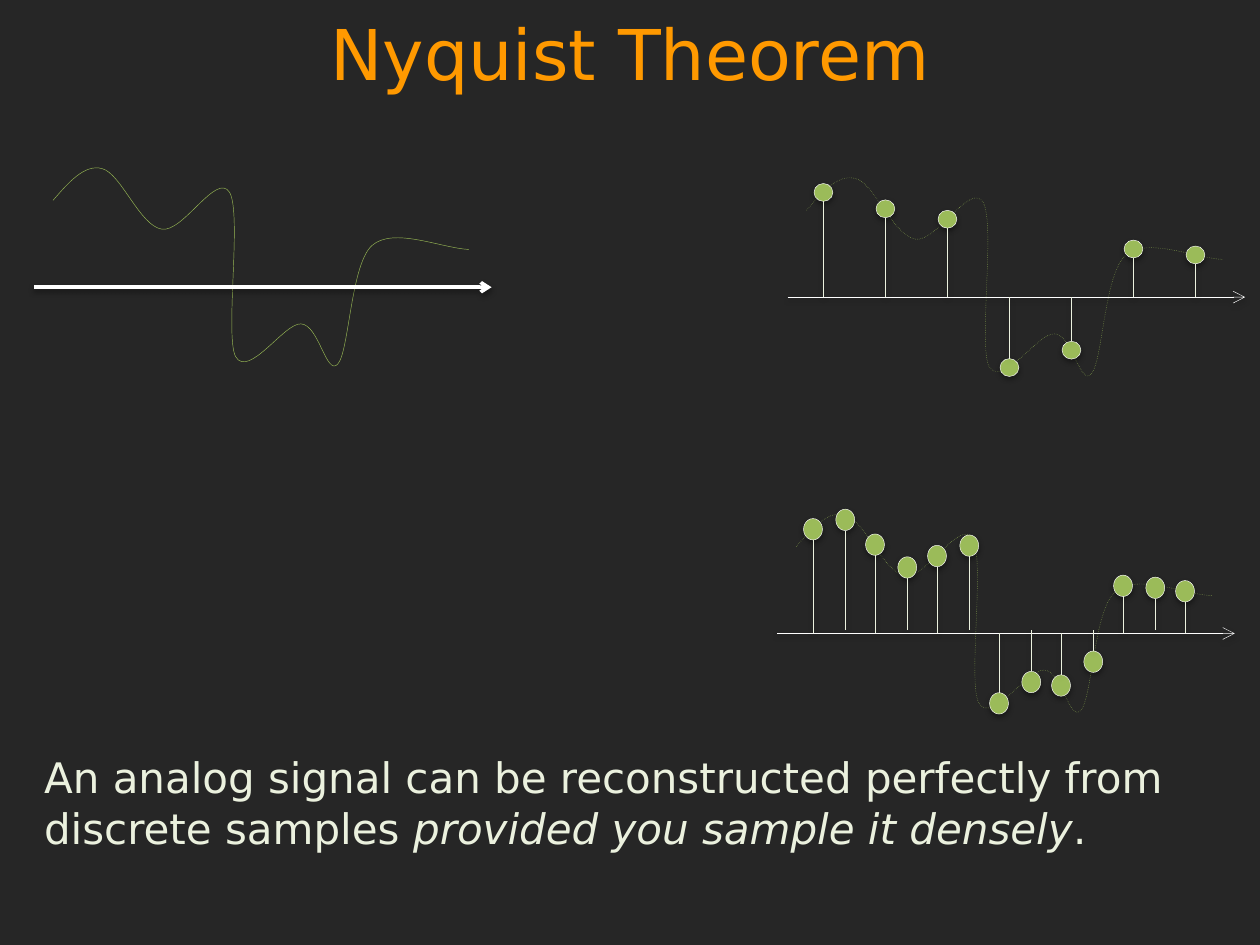
from lxml import etree
from pptx import Presentation
from pptx.dml.color import RGBColor
from pptx.enum.shapes import MSO_CONNECTOR, MSO_SHAPE
from pptx.enum.text import MSO_ANCHOR, PP_ALIGN
from pptx.oxml import parse_xml
from pptx.util import Cm, Pt

STRAIGHT = MSO_CONNECTOR.STRAIGHT
OVAL = MSO_SHAPE.OVAL
FONT = "DejaVu Sans"
DRAWING = "http://schemas.openxmlformats.org/drawingml/2006/main"
TAG = f"{{{DRAWING}}}"
SHADOW = (
    f'<a:effectLst xmlns:a="{DRAWING}">'
    '<a:outerShdw blurRad="40000" dist="20000" dir="5400000" rotWithShape="0">'
    '<a:srgbClr val="000000"><a:alpha val="38000"/></a:srgbClr>'
    "</a:outerShdw></a:effectLst>"
)

CURVE_START = (0.38, -1.75)
CURVE = [
    ((0.69, -2.11), (1.02, -2.49), (1.37, -2.39)),
    ((1.75, -2.29), (2.13, -1.24), (2.57, -1.17)),
    ((3.00, -1.09), (3.68, -2.34), (3.94, -1.91)),
    ((4.19, -1.47), (3.84, 0.97), (4.06, 1.40)),
    ((4.32, 1.85), (5.05, 0.71), (5.38, 0.74)),
    ((5.74, 0.76), (5.89, 1.80), (6.12, 1.55)),
    ((6.35, 1.30), (6.38, -0.46), (6.81, -0.84)),
    ((7.24, -1.22), (8.20, -0.79), (8.76, -0.76)),
]
AXIS_LENGTH = 9.22
SAMPLE_STEP = 1.25
DOT_WIDTH = 0.38

SPARSE = [(0.72, 0, [-2.11, -1.78, -1.57, 1.42, 1.07, -0.97, -0.85])]
DENSE = [
    (0.72, 0, [-2.10, -1.79, -1.56, 1.41, 1.05, -0.96, -0.85]),
    (1.37, -0.08, [-2.29, -1.33, -1.77, 0.98, 0.57, -0.92]),
]
PLOTS = [
    (0.69, 5.79, 2, [], 0),
    (15.88, 5.99, 0.25, SPARSE, 0.36),
    (15.67, 12.77, 0.25, DENSE, 0.43),
]


def color(value):
    return RGBColor.from_string(value)


def add_line(group, start, end, value, width):
    line = group.shapes.add_connector(
        STRAIGHT, Cm(start[0]), Cm(start[1]), Cm(end[0]), Cm(end[1]))
    line.line.color.rgb = color(value)
    line.line.width = Pt(width)
    line._element.spPr.append(parse_xml(SHADOW))
    return line


deck = Presentation()
deck.slide_width = Cm(25.4)
deck.slide_height = Cm(19.05)
page = deck.slides.add_slide(deck.slide_layouts[5])
page.background.fill.solid()
page.background.fill.fore_color.rgb = color("262626")

title = page.shapes.title
title.left, title.top, title.width, title.height = Cm(1.27), Cm(0), Cm(22.86), Cm(2.11)
title.text_frame.vertical_anchor = MSO_ANCHOR.MIDDLE
para = title.text_frame.paragraphs[0]
para.text = "Nyquist Theorem"
para.alignment = PP_ALIGN.CENTER
para.font.name = FONT
para.font.size = Pt(40)
para.font.color.rgb = color("FF9900")

box = page.shapes.add_textbox(Cm(0.64), Cm(15.03), Cm(24.56), Cm(2.54))
box.text_frame.word_wrap = True
para = box.text_frame.paragraphs[0]
for text, italic in [
    ("An analog signal can be reconstructed perfectly from discrete samples ", False),
    ("provided you sample it densely", True),
    (".", False),
]:
    span = para.add_run()
    span.text = text
    span.font.italic = italic
para.font.name = FONT
para.font.size = Pt(24)
para.font.color.rgb = color("EBF1DE")

for left, axis_y, axis_width, series, dot_height in PLOTS:
    plot = page.shapes.add_group_shape()

    outline = plot.shapes.build_freeform(
        Cm(left + CURVE_START[0]), Cm(axis_y + CURVE_START[1]))
    outline.add_line_segments(
        [(Cm(left + x), Cm(axis_y + y)) for _, _, (x, y) in CURVE], close=False)
    signal = outline.convert_to_shape()
    for segment, controls in zip(list(signal._element.iter(f"{TAG}lnTo")), CURVE):
        bend = etree.Element(f"{TAG}cubicBezTo")
        for x, y in controls:
            etree.SubElement(
                bend, f"{TAG}pt",
                x=str(Cm(left + x) - signal.left), y=str(Cm(axis_y + y) - signal.top))
        segment.getparent().replace(segment, bend)
    signal.shadow.inherit = False
    signal.fill.background()
    signal.line.color.rgb = color("98B955")
    signal.line.width = Pt(0.25)
    if series:
        etree.SubElement(signal.line._get_or_add_ln(), f"{TAG}prstDash", val="dot")

    axis = add_line(plot, (left, axis_y), (left + AXIS_LENGTH, axis_y), "FFFFFF", axis_width)
    etree.SubElement(axis.line._get_or_add_ln(), f"{TAG}tailEnd", type="arrow")

    for first_x, stem_base, samples in series:
        for index, value in enumerate(samples):
            x = left + first_x + index * SAMPLE_STEP
            y = axis_y + value
            dot = plot.shapes.add_shape(
                OVAL, Cm(x - DOT_WIDTH / 2), Cm(y - dot_height / 2),
                Cm(DOT_WIDTH), Cm(dot_height))
            dot.fill.solid()
            dot.fill.fore_color.rgb = color("9BBB59")
            dot.line.color.rgb = color("FFFFFF")
            dot.line.width = Pt(0.25)
            dot._element.spPr.append(parse_xml(SHADOW))
            toward_axis = dot_height / 2 if value < 0 else -dot_height / 2
            add_line(plot, (x, y + toward_axis), (x, axis_y + stem_base), "EBF1DE", 0.25)

deck.save("out.pptx")
